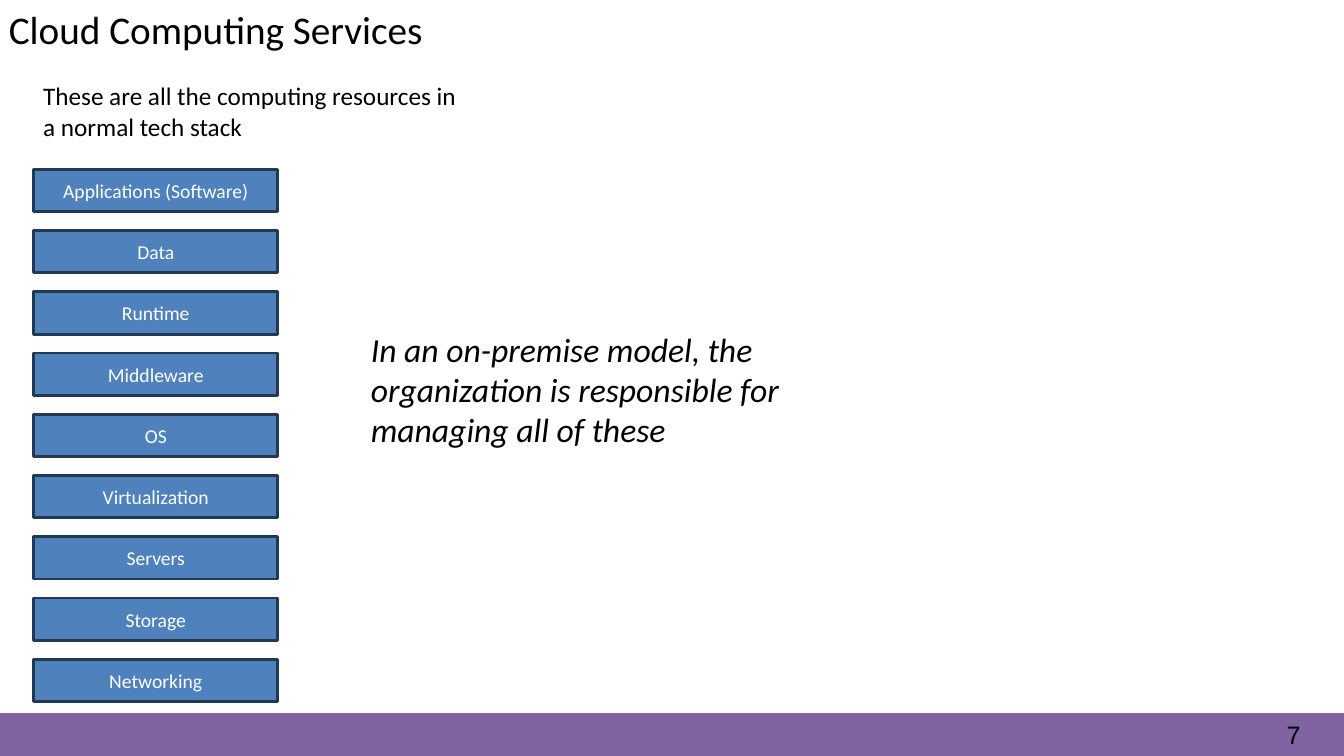
from pptx import Presentation
from pptx.dml.color import RGBColor
from pptx.enum.shapes import MSO_SHAPE as Shape
from pptx.enum.text import MSO_ANCHOR as Anchor, PP_ALIGN as Align
from pptx.util import Inches, Pt

TITLE = "Cloud Computing Services"
INTRO = "These are all the computing resources in a normal tech stack"
REMARK = ("In an on-premise model, the organization is responsible "
          "for managing all of these")
PAGE_NUMBER = "7"
LAYERS = [
    "Applications (Software)", "Data", "Runtime", "Middleware", "OS",
    "Virtualization", "Servers", "Storage", "Networking",
]

BLACK = RGBColor(0x00, 0x00, 0x00)
WHITE = RGBColor(0xFF, 0xFF, 0xFF)
PURPLE = RGBColor(0x80, 0x63, 0xA1)
BLUE = RGBColor(0x4F, 0x81, 0xBD)
NAVY = RGBColor(0x23, 0x39, 0x53)

WIDTH, HEIGHT = 13.33, 7.5
FOOTER_HEIGHT = 0.42
STACK_LEFT, STACK_TOP, STACK_BOTTOM = 0.335, 1.68, 6.96
LAYER_WIDTH, LAYER_HEIGHT = 2.42, 0.42
LAYER_STEP = (STACK_BOTTOM - STACK_TOP - LAYER_HEIGHT) / (len(LAYERS) - 1)


def write(frame, text, size, color=BLACK, name="Calibri", italic=None):
    para = frame.paragraphs[0]
    para.text = text
    para.font.size = Pt(size)
    para.font.name = name
    para.font.italic = italic
    para.font.color.rgb = color
    return para


def add_text(page, area, text, size, wrap=True, **style):
    box = page.shapes.add_textbox(*map(Inches, area))
    box.text_frame.word_wrap = wrap
    return box.text_frame, write(box.text_frame, text, size, **style)


def add_bar(page, area, fill, line, weight):
    bar = page.shapes.add_shape(Shape.RECTANGLE, *map(Inches, area))
    bar.shadow.inherit = False
    bar.fill.solid()
    bar.fill.fore_color.rgb = fill
    bar.line.color.rgb = line
    bar.line.width = Pt(weight)
    return bar


def add_footer(page):
    area = (0, HEIGHT - FOOTER_HEIGHT, WIDTH, FOOTER_HEIGHT)
    add_bar(page, area, PURPLE, PURPLE, 1)
    frame, para = add_text(page, (12.58, 7.15, 0.71, 0.31), PAGE_NUMBER, 18,
                           name="Arial")
    frame.margin_left = Inches(0.18)
    frame.margin_right = frame.margin_top = frame.margin_bottom = 0
    para.line_spacing = Pt(20.9)


def add_stack(page):
    for row, layer in enumerate(LAYERS):
        area = (STACK_LEFT, STACK_TOP + row * LAYER_STEP,
                LAYER_WIDTH, LAYER_HEIGHT)
        frame = add_bar(page, area, BLUE, NAVY, 2).text_frame
        frame.vertical_anchor = Anchor.MIDDLE
        write(frame, layer, 14, WHITE).alignment = Align.CENTER


def main():
    deck = Presentation()
    deck.slide_width, deck.slide_height = Inches(WIDTH), Inches(HEIGHT)
    page = deck.slides.add_slide(deck.slide_layouts[6])
    add_footer(page)
    add_text(page, (-0.01, 0, 4.86, 0.57), TITLE, 28, wrap=False)
    add_text(page, (0.33, 0.75, 4.33, 0.71), INTRO, 18)
    add_stack(page)
    add_text(page, (3.58, 3.21, 5.17, 1.31), REMARK, 24, italic=True)
    deck.save("out.pptx")


if __name__ == "__main__":
    main()
